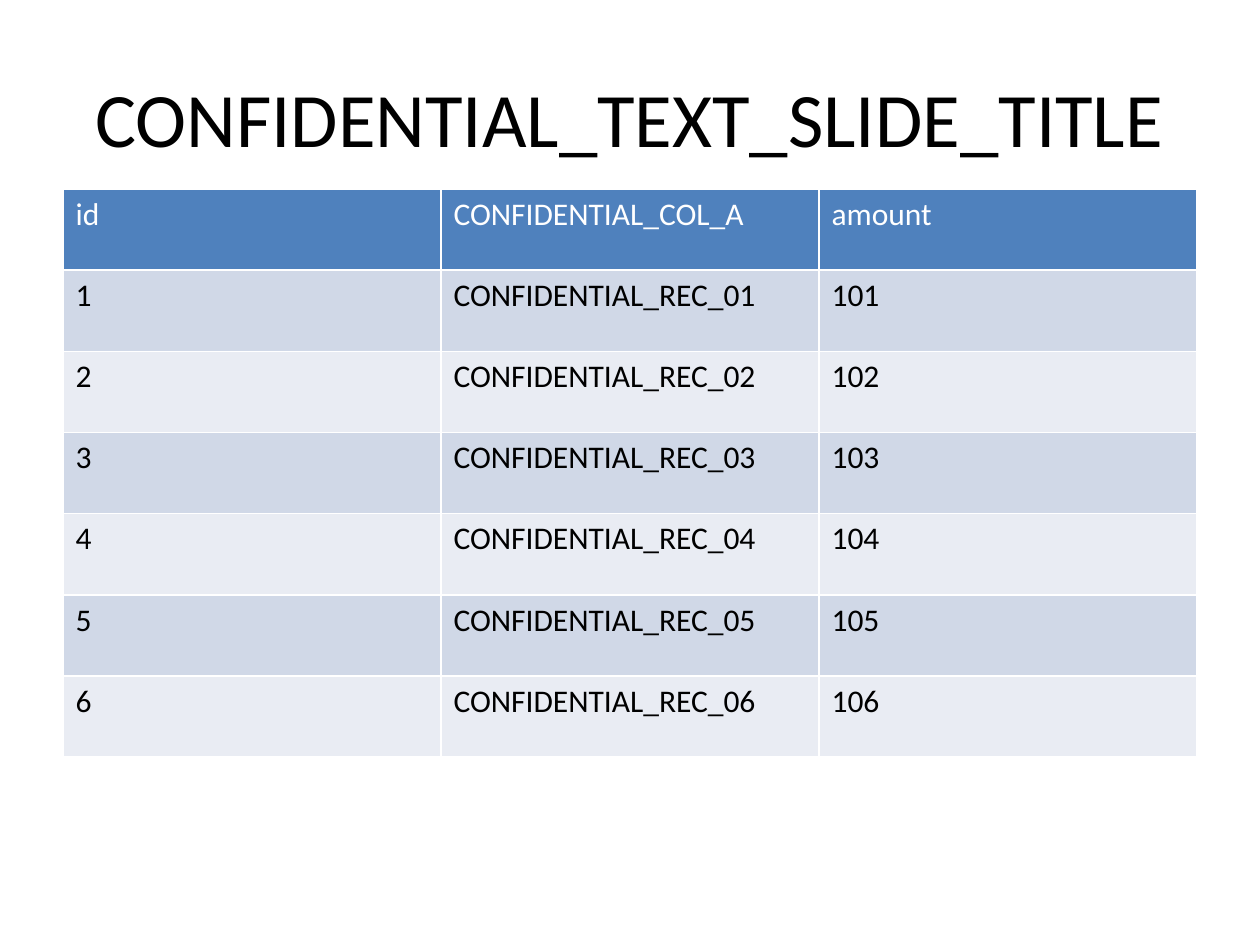
import dataclasses

import pptx
import pptx.dml.color
import pptx.enum.text
import pptx.oxml
import pptx.oxml.ns
import pptx.util
from pptx.util import Inches


@dataclasses.dataclass(frozen=True)
class Theme:
    """Colours, font and type sizes of the slide."""
    font: str = "Calibri"
    title_size: int = 44
    cell_size: int = 18
    ink: str = "000000"
    header_ink: str = "FFFFFF"
    header_fill: str = "4F81BD"
    band_fills: tuple = ("D0D8E7", "E9ECF3")
    rule: str = "FFFFFF"
    rule_width: float = 0.96


THEME = Theme()


def write_text(frame, text, *, size, color, align=None):
    """Write one formatted paragraph into a text frame."""
    paragraph = frame.paragraphs[0]
    if align is not None:
        paragraph.alignment = align
    run = paragraph.add_run()
    run.text = text
    run.font.name = THEME.font
    run.font.size = pptx.util.Pt(size)
    run.font.bold = False
    run.font.color.rgb = pptx.dml.color.RGBColor.from_string(color)


def add_title(slide, text):
    """Add the centred slide title."""
    title = slide.shapes.add_textbox(Inches(0.5), Inches(0.3), Inches(9), Inches(1.25))
    title.text_frame.word_wrap = True
    title.text_frame.vertical_anchor = pptx.enum.text.MSO_ANCHOR.MIDDLE
    write_text(title.text_frame, text, size=THEME.title_size, color=THEME.ink,
               align=pptx.enum.text.PP_ALIGN.CENTER)


def rule_cell(cell):
    """Draw the thin rule on all four sides of a cell."""
    properties = cell._tc.get_or_add_tcPr()
    width = pptx.util.Pt(THEME.rule_width)
    for position, side in enumerate(("lnL", "lnR", "lnT", "lnB")):
        properties.insert(position, pptx.oxml.parse_xml(
            f'<a:{side} {pptx.oxml.ns.nsdecls("a")} w="{width}"><a:solidFill>'
            f'<a:srgbClr val="{THEME.rule}"/></a:solidFill></a:{side}>'))


def add_records(slide, records):
    """Add the banded table, whose first record is the header."""
    table = slide.shapes.add_table(len(records), len(records[0]), Inches(0.5),
                                   Inches(1.5), Inches(9), Inches(4.51)).table
    for row, record in enumerate(records):
        fill = THEME.band_fills[(row - 1) % 2] if row else THEME.header_fill
        ink = THEME.ink if row else THEME.header_ink
        for column, value in enumerate(record):
            cell = table.cell(row, column)
            cell.fill.solid()
            cell.fill.fore_color.rgb = pptx.dml.color.RGBColor.from_string(fill)
            rule_cell(cell)
            write_text(cell.text_frame, value, size=THEME.cell_size, color=ink)


def main():
    """Build and save the slide."""
    deck = pptx.Presentation()
    deck.slide_width, deck.slide_height = Inches(10), Inches(7.5)
    slide = deck.slides.add_slide(deck.slide_layouts[6])
    add_title(slide, "CONFIDENTIAL_TEXT_SLIDE_TITLE")
    header = ("id", "CONFIDENTIAL_COL_A", "amount")
    records = [(str(number), f"CONFIDENTIAL_REC_{number:02}", str(100 + number))
               for number in range(1, 7)]
    add_records(slide, [header, *records])
    deck.save("out.pptx")


if __name__ == "__main__":
    main()
